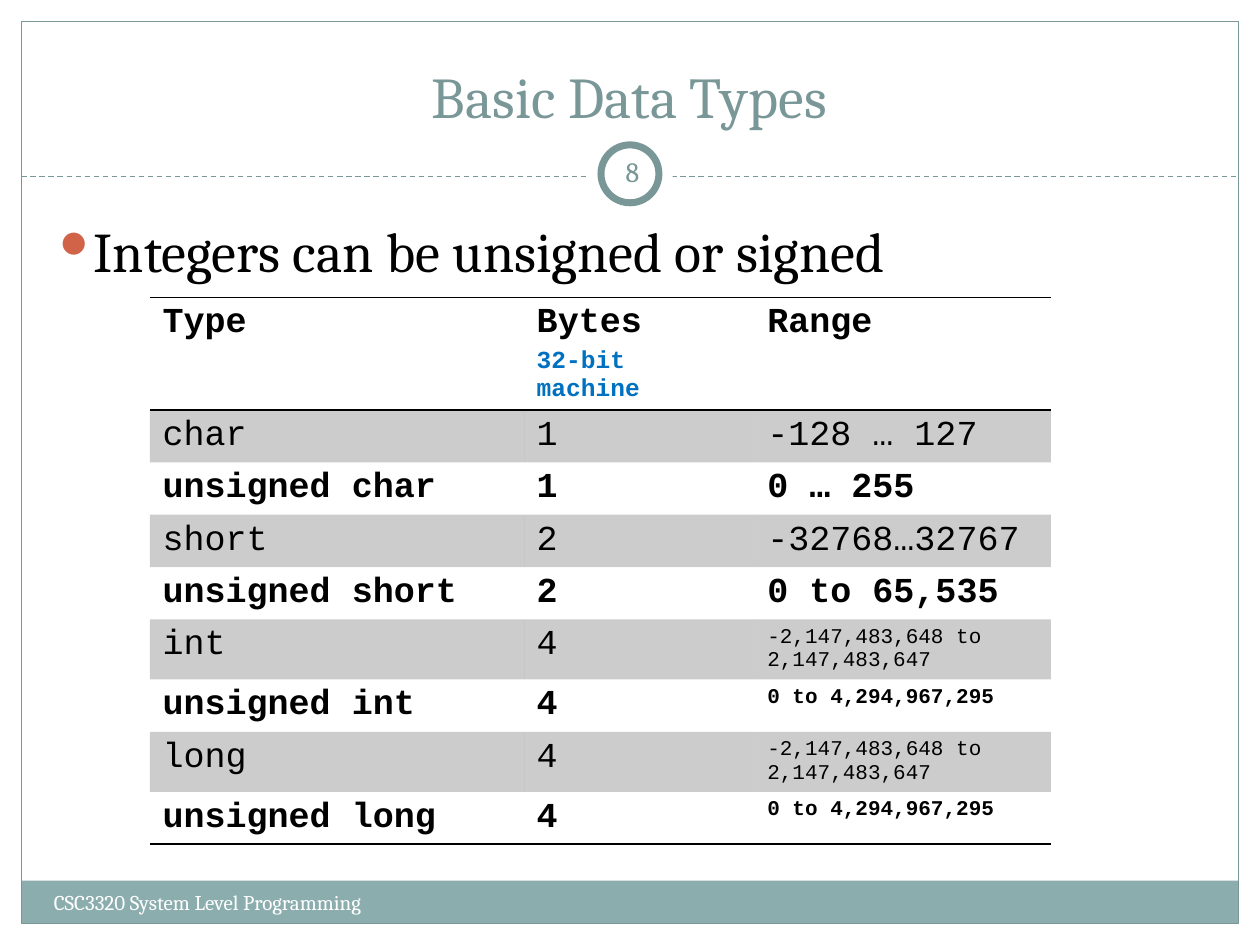
from lxml import etree
from pptx import Presentation
from pptx.dml.color import RGBColor
from pptx.enum import dml, shapes, text
from pptx.oxml import ns
from pptx.util import Inches, Pt

SERIF, MONO = "Cambria", "Courier New"
TEAL, BAR, ORANGE, BLUE = "7A9798", "8CADAE", "D16349", "0070C0"
BLACK, WHITE = "000000", "FFFFFF"
NO_GRID_STYLE = "{2D5ABB26-0587-4C30-8999-92F81FD0307C}"

HEADER = ["Type", "Bytes", "Range"]
INT_RANGE, UINT_RANGE = "-2,147,483,648 to 2,147,483,647", "0 to 4,294,967,295"
TYPES = [
    ("char", "1", "-128 … 127"),
    ("unsigned char", "1", "0 … 255"),
    ("short", "2", "-32768…32767"),
    ("unsigned short", "2", "0 to 65,535"),
    ("int", "4", INT_RANGE),
    ("unsigned int", "4", UINT_RANGE),
    ("long", "4", INT_RANGE),
    ("unsigned long", "4", UINT_RANGE),
]


def color(hex_value):
    return RGBColor.from_string(hex_value)


def sub(parent, tag, **attributes):
    return etree.SubElement(parent, ns.qn(tag), attributes)


def box_inches(box):
    return [Inches(value) for value in box]


def write(paragraph, words, size, hex_value, font=SERIF, bold=False):
    run = paragraph.add_run()
    run.text = words
    style = {"name": font, "size": Pt(size), "bold": bold}
    for name, value in style.items():
        setattr(run.font, name, value)
    run.font.color.rgb = color(hex_value)


def format_frame(frame, anchor, side=0.1):
    settings = {
        "word_wrap": True, "auto_size": text.MSO_AUTO_SIZE.NONE,
        "vertical_anchor": anchor,
        "margin_left": Inches(side), "margin_right": Inches(side),
        "margin_top": Inches(0.05), "margin_bottom": Inches(0.05),
    }
    for name, value in settings.items():
        setattr(frame, name, value)


def add_text(slide, box, words, size, hex_value,
             anchor=text.MSO_ANCHOR.TOP, align=text.PP_ALIGN.LEFT, side=0.1):
    frame = slide.shapes.add_textbox(*box_inches(box)).text_frame
    format_frame(frame, anchor, side)
    paragraph = frame.paragraphs[0]
    paragraph.alignment = align
    write(paragraph, words, size, hex_value)
    return paragraph


def add_panel(slide, kind, box, fill=None, line=None, width=0.75):
    panel = slide.shapes.add_shape(kind, *box_inches(box))
    panel.shadow.inherit = False
    if fill:
        panel.fill.solid()
        panel.fill.fore_color.rgb = color(fill)
    else:
        panel.fill.background()
    if line:
        panel.line.color.rgb = color(line)
        panel.line.width = Pt(width)
    else:
        panel.line.fill.background()


def add_page_frame(slide, box):
    left, top, width, height = box
    rect = shapes.MSO_SHAPE.RECTANGLE
    bar_top = top + height - 0.34
    add_panel(slide, rect, (left, bar_top, width, 0.34), fill=BAR)
    add_panel(slide, rect, box, line=TEAL)
    # Dashed rule under the title
    rule = slide.shapes.add_connector(
        shapes.MSO_CONNECTOR.STRAIGHT,
        *box_inches((left, 1.4, left + width, 1.4)))
    rule.line.color.rgb = color(TEAL)
    rule.line.width = Pt(0.75)
    rule.line.dash_style = dml.MSO_LINE.DASH
    sub(rule._element.spPr, "a:effectLst")
    # Footer
    add_text(slide, (0.33, bar_top + 0.02, 3.92, 0.4),
             "CSC3320 System Level Programming", 12, WHITE)


def add_page_number(slide, box, number):
    left, top, size, _ = box
    oval = shapes.MSO_SHAPE.OVAL
    add_panel(slide, oval, box, fill=WHITE)
    add_panel(slide, oval, (left + 0.1, top + 0.1, size - 0.21, size - 0.21),
              fill=WHITE, line=TEAL, width=4)
    add_text(slide, (left + 0.1, top + 0.07, 0.5, 0.48), number, 16, TEAL,
             text.MSO_ANCHOR.MIDDLE, text.PP_ALIGN.CENTER, side=0.05)


def place_title(slide, box, words):
    title = slide.shapes.title
    title.left, title.top, title.width, title.height = box_inches(box)
    format_frame(title.text_frame, text.MSO_ANCHOR.BOTTOM)
    paragraph = title.text_frame.paragraphs[0]
    paragraph.alignment = text.PP_ALIGN.CENTER
    write(paragraph, words, 33, TEAL)


def add_statement(slide, box, words):
    paragraph = add_text(slide, box, words, 32, BLACK,
                         align=text.PP_ALIGN.JUSTIFY)
    properties = paragraph._p.get_or_add_pPr()
    properties.set("marL", str(Inches(0.3)))
    properties.set("indent", str(Inches(-0.3)))
    sub(sub(properties, "a:buClr"), "a:srgbClr", val=ORANGE)
    sub(properties, "a:buSzPct", val="85000")
    sub(properties, "a:buChar", char="⚫")


def add_border(cell, side):
    line = sub(cell._tc.get_or_add_tcPr(), f"a:{side}", w=str(Pt(1)))
    sub(sub(line, "a:solidFill"), "a:srgbClr", val=BLACK)


def shade(cell, shaded):
    if not shaded:
        cell.fill.background()
        return
    cell.fill.solid()
    cell.fill.fore_color.rgb = color(BLACK)
    tint = cell._tc.tcPr.find(".//" + ns.qn("a:srgbClr"))
    sub(tint, "a:alpha", val="20000")


def add_type_table(slide, box, widths, row_height):
    rows = [HEADER, *TYPES]
    table = slide.shapes.add_table(
        len(rows), len(widths), *box_inches(box)).table
    table.first_row = table.horz_banding = False
    table._tbl.tblPr.find(ns.qn("a:tableStyleId")).text = NO_GRID_STYLE
    for column, width in zip(table.columns, widths):
        column.width = Inches(width)
    for r, values in enumerate(rows):
        table.rows[r].height = Inches(row_height)
        for c, words in enumerate(values):
            cell = table.cell(r, c)
            # Rules around the header and below the last row
            if r == 0:
                add_border(cell, "lnT")
            if r in (0, len(rows) - 1):
                add_border(cell, "lnB")
            shade(cell, r % 2 == 1)
            size = 12 if words in (INT_RANGE, UINT_RANGE) else 20
            write(cell.text_frame.paragraphs[0], words, size, BLACK, MONO,
                  bold=r % 2 == 0)
    # Note under the Bytes heading
    note = table.cell(0, 1).text_frame.add_paragraph()
    note.space_before = Pt(2.8)
    write(note, "32-bit machine", 14, BLUE, MONO, bold=True)


def main():
    deck = Presentation()
    deck.slide_width, deck.slide_height = Inches(10), Inches(7.5)
    slide = deck.slides.add_slide(deck.slide_layouts[5])
    add_page_frame(slide, (0.17, 0.17, 9.66, 7.16))
    add_page_number(slide, (4.67, 1.05, 0.67, 0.67), "8")
    place_title(slide, (0.33, 0.25, 9.33, 0.83), "Basic Data Types")
    add_statement(slide, (0.33, 1.67, 9.3, 0.91),
                  "Integers can be unsigned or signed")
    add_type_table(slide, (1.19, 2.36, 7.15, 3.69), (2.97, 1.83, 2.35), 0.41)
    deck.save("out.pptx")


if __name__ == "__main__":
    main()
